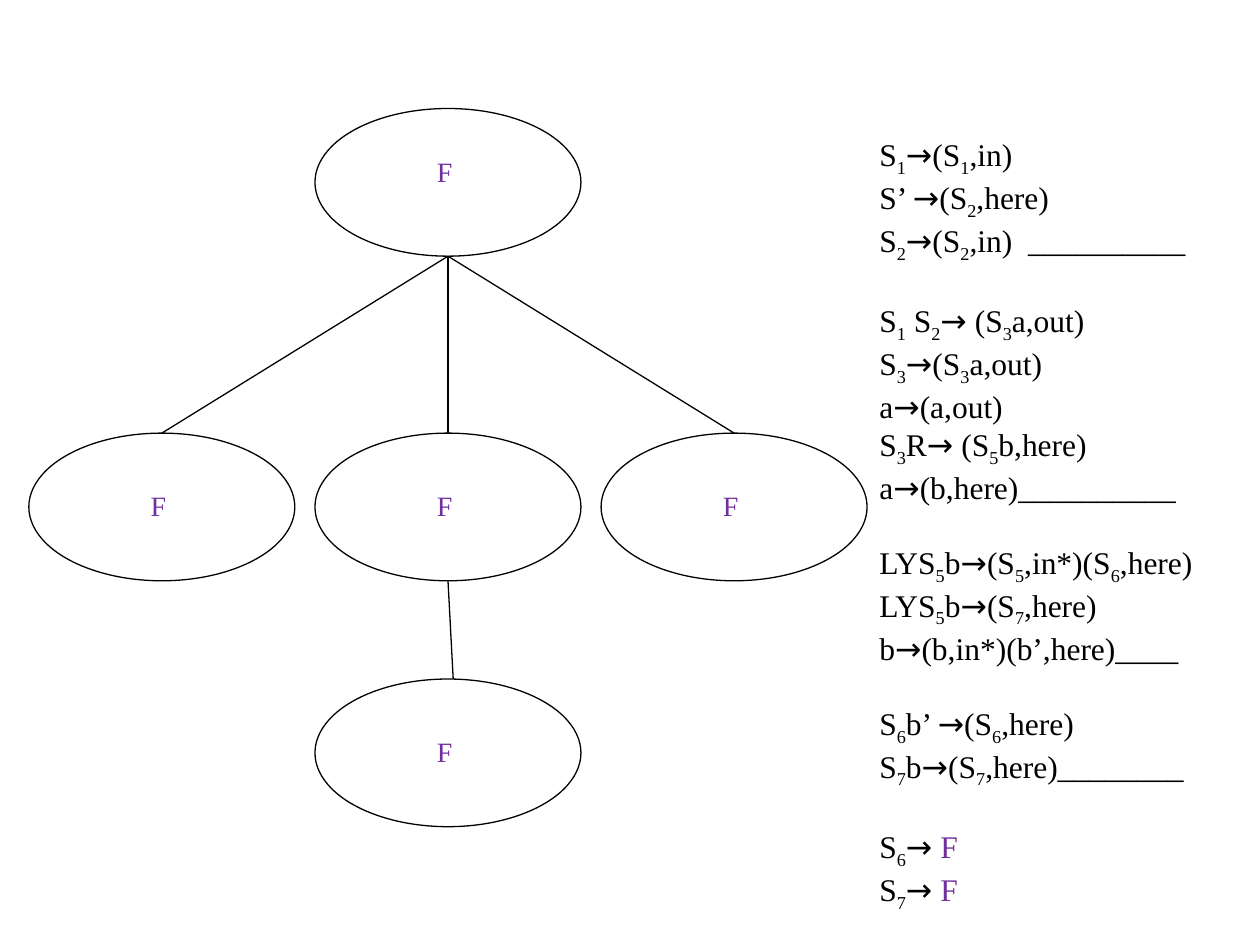
from itertools import groupby

from lxml.etree import SubElement
from pptx import Presentation
from pptx.dml.color import RGBColor as Rgb
from pptx.enum.shapes import MSO_CONNECTOR as Connector, MSO_SHAPE as Shape
from pptx.enum.text import MSO_AUTO_SIZE as AutoSize, PP_ALIGN as Align
from pptx.oxml.ns import qn
from pptx.util import Pt

COLOURS = {"ink": "000000", "final": "7030A0"}
NODE_WIDTH, NODE_HEIGHT = 152, 84.4
LABEL_WIDTH, LABEL_HEIGHT = 118, 26.6
COLUMNS = [16.5 + 163.5 * column for column in range(3)]
ROOT_TOP, MIDDLE_TOP, LEAF_TOP = 62, 247.5, 388
RULE_GROUPS = [
    ["S1→(S1,in)", "S’ →(S2,here)", "S2→(S2,in)  __________"],
    ["S1 S2→ (S3a,out)", "S3→(S3a,out)", "a→(a,out)",
     "S3R→ (S5b,here)", "a→(b,here)__________"],
    ["LYS5b→(S5,in*)(S6,here)", "LYS5b→(S7,here)", "b→(b,in*)(b’,here)____"],
    ["S6b’ →(S6,here)", "S7b→(S7,here)________"],
    ["S6→ F", "S7→ F"],
]


def character_kind(character):
    if character.isdigit():
        return "subscript"
    return {"→": "arrow", "F": "final"}.get(character, "plain")


def add_text(para, text, size=18):
    for kind, characters in groupby(text, character_kind):
        span = para.add_run()
        span.text = "".join(characters)
        span.font.size = Pt(size)
        span.font.name = "Noto Sans" if kind == "arrow" else "Times New Roman"
        colour = COLOURS["final" if kind == "final" else "ink"]
        span.font.color.rgb = Rgb.from_string(colour)
        if kind == "subscript":
            span.font._element.set("baseline", "-25000")


class Diagram:
    def __init__(self, page, line_width=0.75):
        self.page = page
        self.line_width = line_width

    def outline(self, item):
        item.line.color.rgb = Rgb.from_string(COLOURS["ink"])
        item.line.width = Pt(self.line_width)

    def node(self, left, top):
        oval = self.page.shapes.add_shape(
            Shape.OVAL, Pt(left), Pt(top), Pt(NODE_WIDTH), Pt(NODE_HEIGHT))
        oval.shadow.inherit = False
        oval.fill.background()
        self.outline(oval)

    def edge(self, start, end):
        points = [Pt(value) for value in (*start, *end)]
        edge = self.page.shapes.add_connector(Connector.STRAIGHT, *points)
        self.outline(edge)
        SubElement(edge._element.spPr, qn("a:effectLst"))

    def text_box(self, left, top, width, height):
        box = self.page.shapes.add_textbox(
            Pt(left), Pt(top), Pt(width), Pt(height))
        box.text_frame.word_wrap = True
        box.text_frame.auto_size = AutoSize.SHAPE_TO_FIT_TEXT
        return box.text_frame

    def label(self, left, top):
        frame = self.text_box(left, top, LABEL_WIDTH, LABEL_HEIGHT)
        para = frame.paragraphs[0]
        para.alignment = Align.CENTER
        add_text(para, "F ", size=16)

    def rules(self, groups, left, top, width, height, gap):
        frame = self.text_box(left, top, width, height)
        para = frame.paragraphs[0]
        for group_number, group in enumerate(groups):
            for line_number, text in enumerate(group):
                if group_number or line_number:
                    para = frame.add_paragraph()
                if group_number and not line_number:
                    para.space_before = Pt(gap)
                add_text(para, text)


def main():
    deck = Presentation()
    deck.slide_width, deck.slide_height = Pt(720), Pt(540)
    diagram = Diagram(deck.slides.add_slide(deck.slide_layouts[6]))

    centre = COLUMNS[1]
    nodes = [(centre, ROOT_TOP), *((left, MIDDLE_TOP) for left in COLUMNS),
             (centre, LEAF_TOP)]
    for left, top in nodes:
        diagram.node(left, top)

    middle = centre + NODE_WIDTH / 2
    for left in COLUMNS:
        diagram.edge((middle, ROOT_TOP + NODE_HEIGHT),
                     (left + NODE_WIDTH / 2, MIDDLE_TOP))
    diagram.edge((middle, MIDDLE_TOP + NODE_HEIGHT), (middle + 3, LEAF_TOP))

    diagram.rules(RULE_GROUPS, 495.4, 73.5, 208, 443.5, gap=21.3)
    for left, top in nodes:
        drop = 22.5 if top == ROOT_TOP else 28.2
        diagram.label(left + (NODE_WIDTH - LABEL_WIDTH) / 2, top + drop)

    deck.save("out.pptx")


if __name__ == "__main__":
    main()
